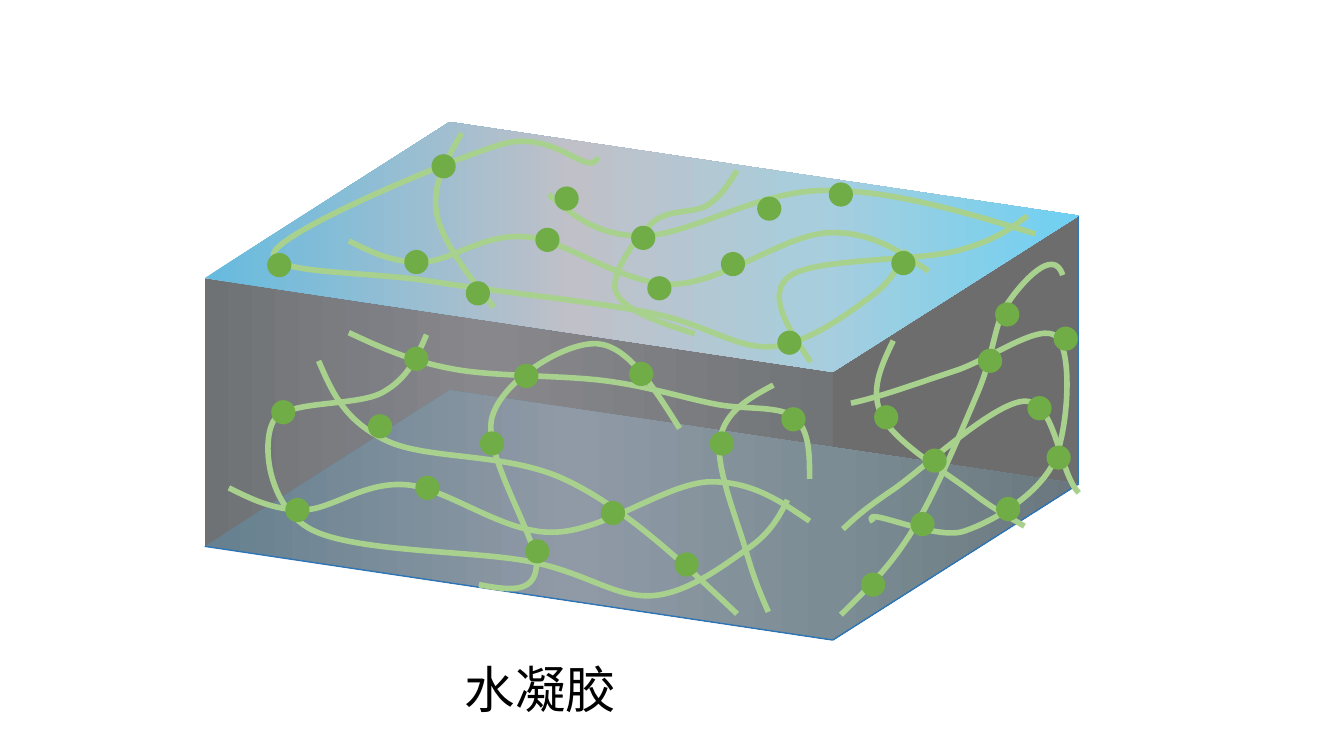
import pptx
import pptx.dml.color
import pptx.enum.shapes
import pptx.enum.text
import pptx.oxml.ns
import pptx.util
from lxml import etree

COLOURS = {
    "strand": "A9D18E", "node": "70AD47", "edge": "2E75B6", "text": "000000",
    "right wall": "6D6D6E",
}
TOP_GRADIENT = [(0, "66BBDF"), (42, "BFC0C8"), (70, "A8CEDD"), (100, "6FD0F2")]
FRONT_GRADIENT = [(0, "6F7275"), (45, "87878C"), (100, "727577")]
FLOOR_GRADIENT = [(0, "66808F"), (42, "909AA6"), (72, "7B8C94"), (100, "6A777E")]

# All places below are in inches: corners of the gel block, left, back, right, front.
TOP_FACE = [(2.03, 2.76), (4.46, 1.21), (10.7, 2.14), (8.26, 3.69)]
BLOCK_HEIGHT = 2.66
NODE_SIZE = 0.24

# Each strand is a start point followed by triples of Bezier points.
FRONT_STRANDS = [
    [(4.23, 3.32), (4.14, 3.53), (4.05, 3.75), (3.8, 3.89), (3.54, 4.04), (2.83, 3.96), (2.71, 4.18),
     (2.59, 4.41), (2.66, 5.02), (3.08, 5.25), (3.51, 5.48), (4.68, 5.46), (5.25, 5.57),
     (5.81, 5.68), (6.1, 5.93), (6.46, 5.91), (6.82, 5.89), (7.19, 5.6), (7.42, 5.44),
     (7.64, 5.29), (7.73, 5.12), (7.81, 4.96)],
    [(3.46, 3.3), (3.76, 3.44), (4.06, 3.58), (4.49, 3.66), (4.91, 3.74), (5.58, 3.72), (6.02, 3.78),
     (6.46, 3.84), (6.79, 3.95), (7.1, 4.01), (7.41, 4.07), (7.72, 4.02), (7.88, 4.14),
     (8.03, 4.27), (8.03, 4.51), (8.03, 4.75)],
    [(2.27, 4.84), (2.49, 4.95), (2.71, 5.06), (3.01, 5.06), (3.3, 5.05), (3.62, 4.77), (4.04, 4.81),
     (4.45, 4.85), (4.99, 5.29), (5.48, 5.28), (5.98, 5.28), (6.6, 4.8), (7.03, 4.78),
     (7.45, 4.77), (7.74, 4.97), (8.03, 5.17)],
    [(7.67, 3.82), (7.43, 3.95), (7.19, 4.08), (7.14, 4.36), (7.09, 4.63), (7.32, 5.18), (7.4, 5.47),
     (7.48, 5.75), (7.55, 5.91), (7.62, 6.07)],
    [(3.16, 3.58), (3.29, 3.88), (3.41, 4.17), (3.83, 4.37), (4.24, 4.57), (5.04, 4.48), (5.63, 4.77),
     (6.21, 5.05), (6.76, 5.57), (7.31, 6.09)],
    [(6.74, 4.25), (6.48, 3.84), (6.23, 3.43), (5.92, 3.41), (5.61, 3.39), (4.98, 3.77), (4.88, 4.14),
     (4.78, 4.51), (5.34, 5.35), (5.32, 5.62), (5.3, 5.9), (5.02, 5.85), (4.75, 5.8)],
]
TOP_STRANDS = [
    [(5.93, 1.56), (5.84, 1.78), (5.51, 1.28), (4.98, 1.43), (4.44, 1.59), (2.84, 2.27), (2.72, 2.5),
     (2.6, 2.72), (3.65, 2.69), (4.27, 2.79), (4.89, 2.89), (5.87, 2.99), (6.43, 3.1),
     (7, 3.21), (7.29, 3.46), (7.65, 3.44), (8.01, 3.41), (8.38, 3.13), (8.6, 2.97),
     (8.83, 2.81), (8.91, 2.65), (8.99, 2.48)],
    [(3.46, 2.39), (3.68, 2.5), (3.9, 2.61), (4.19, 2.6), (4.48, 2.59), (4.8, 2.31), (5.22, 2.35),
     (5.63, 2.39), (6.17, 2.82), (6.67, 2.82), (7.17, 2.81), (7.78, 2.33), (8.21, 2.31),
     (8.63, 2.29), (8.92, 2.49), (9.21, 2.69)],
    [(5.44, 1.93), (5.69, 2.14), (5.93, 2.35), (6.39, 2.34), (6.84, 2.33), (7.53, 1.89), (8.17, 1.89),
     (8.82, 1.88), (9.55, 2.1), (10.27, 2.32)],
    [(4.58, 1.32), (4.43, 1.58), (4.28, 1.83), (4.33, 2.12), (4.39, 2.4), (4.64, 2.73), (4.9, 3.05)],
    [(10.19, 2.14), (10.03, 2.26), (9.87, 2.39), (9.48, 2.49), (9.09, 2.59), (8.07, 2.56), (7.83, 2.74),
     (7.59, 2.92), (7.82, 3.26), (8.04, 3.59)],
    [(7.31, 1.69), (7.23, 1.82), (7.15, 1.95), (7.01, 2.04), (6.87, 2.12), (6.62, 2.07), (6.47, 2.21),
     (6.32, 2.35), (6.04, 2.71), (6.11, 2.9), (6.19, 3.08), (6.54, 3.2), (6.89, 3.31)],
]
RIGHT_STRANDS = [
    [(8.44, 4), (8.76, 3.93), (9.13, 3.79), (9.47, 3.68), (9.81, 3.57), (10.32, 3.19), (10.48, 3.34),
     (10.64, 3.49), (10.6, 4.26), (10.45, 4.59), (10.29, 4.91), (9.86, 5.17), (9.56, 5.27),
     (9.26, 5.37), (8.51, 4.99), (8.66, 5.18)],
    [(8.34, 6.1), (8.57, 5.87), (8.81, 5.65), (9.04, 5.28), (9.27, 4.91), (9.54, 4.27), (9.7, 3.89),
     (9.86, 3.51), (9.86, 3.2), (10, 3), (10.13, 2.81), (10.45, 2.44), (10.54, 2.73)],
    [(8.86, 3.38), (8.74, 3.63), (8.62, 3.88), (8.75, 4.13), (8.87, 4.38), (9.38, 4.69), (9.62, 4.87),
     (9.85, 5.05), (10.01, 5.13), (10.16, 5.22)],
    [(10.7, 4.89), (10.5, 4.69), (10.48, 3.99), (10.17, 3.98), (9.87, 3.98), (9.17, 4.64), (8.87, 4.85),
     (8.56, 5.06), (8.49, 5.13), (8.36, 5.25)],
]

# Left and top of each cross-link node.
FRONT_NODES = [
    (3.65, 4.11), (2.83, 4.94), (2.69, 3.97), (4.01, 3.44), (4.76, 4.28), (4.12, 4.72), (5.21, 5.35),
    (5.1, 3.61), (5.96, 4.97), (7.04, 4.28), (6.24, 3.59), (6.69, 5.48), (7.75, 4.04),
]
TOP_NODES = [
    (4.01, 2.48), (2.65, 2.51), (5.5, 1.85), (5.31, 2.26), (6.42, 2.74), (7.15, 2.5), (8.22, 1.81),
    (7.51, 1.95), (6.26, 2.24), (8.84, 2.49), (7.71, 3.28), (4.62, 2.79), (4.28, 1.53),
]
RIGHT_NODES = [
    (8.67, 4.02), (9.87, 3), (9.03, 5.08), (8.54, 5.68), (9.15, 4.45), (9.88, 4.93), (10.19, 3.93),
    (10.45, 3.24), (10.38, 4.42), (9.7, 3.46),
]


def colour(name):
    return pptx.dml.color.RGBColor.from_string(COLOURS[name])


def length(inches):
    return pptx.util.Cm(inches * 2.54)


def write_text(shape, text, size=18, font="Calibri", color="text"):
    run = shape.text_frame.paragraphs[0].add_run()
    run.text = text
    run.font.size = pptx.util.Pt(size)
    run.font.name = font
    run.font.color.rgb = colour(color)


class GelSlide:
    """Draws on one slide with a shared style; places are in inches."""

    strand_width = pptx.util.Pt(4)
    edge_width = pptx.util.Pt(1)

    def __init__(self, presentation):
        self.slide = presentation.slides.add_slide(presentation.slide_layouts[6])

    def outline(self, points, close):
        places = [(length(x), length(y)) for x, y in points]
        builder = self.slide.shapes.build_freeform(*places[0])
        builder.add_line_segments(places[1:], close=close)
        shape = builder.convert_to_shape()
        shape.shadow.inherit = False
        return shape

    def face(self, corners, fill=None, stops=()):
        shape = self.outline(corners, close=True)
        shape.line.fill.background()
        if fill:
            shape.fill.solid()
            shape.fill.fore_color.rgb = colour(fill)
            return
        shape.fill.gradient()
        shape.fill.gradient_angle = 0
        stop_list = next(shape.element.iter(pptx.oxml.ns.qn("a:gsLst")))
        for stop in list(stop_list):
            stop_list.remove(stop)
        for percent, value in stops:
            stop = etree.SubElement(stop_list, pptx.oxml.ns.qn("a:gs"), pos=str(percent * 1000))
            etree.SubElement(stop, pptx.oxml.ns.qn("a:srgbClr"), val=value)

    def edge(self, start, end):
        connector = self.slide.shapes.add_connector(
            pptx.enum.shapes.MSO_CONNECTOR.STRAIGHT, *map(length, start + end))
        connector.line.color.rgb = colour("edge")
        connector.line.width = self.edge_width
        etree.SubElement(connector.element.spPr, pptx.oxml.ns.qn("a:effectLst"))

    def strand(self, points):
        """Draw a curve: every three line segments become one Bezier segment."""
        shape = self.outline(points, close=False)
        shape.fill.background()
        shape.line.color.rgb = colour("strand")
        shape.line.width = self.strand_width
        outline = next(shape.element.iter(pptx.oxml.ns.qn("a:path")))
        segments = outline.findall(pptx.oxml.ns.qn("a:lnTo"))
        for index in range(0, len(segments), 3):
            curve = etree.SubElement(outline, pptx.oxml.ns.qn("a:cubicBezTo"))
            for segment in segments[index:index + 3]:
                curve.append(segment[0])
                outline.remove(segment)

    def node(self, left, top):
        shape = self.slide.shapes.add_shape(
            pptx.enum.shapes.MSO_SHAPE.OVAL, *map(length, (left, top, NODE_SIZE, NODE_SIZE)))
        shape.shadow.inherit = False
        shape.fill.solid()
        shape.fill.fore_color.rgb = colour("node")
        shape.line.fill.background()

    def label(self, text, left, top, width, height, **text_format):
        box = self.slide.shapes.add_textbox(*map(length, (left, top, width, height)))
        box.text_frame.word_wrap = True
        box.text_frame.auto_size = pptx.enum.text.MSO_AUTO_SIZE.SHAPE_TO_FIT_TEXT
        write_text(box, text, **text_format)


def main():
    presentation = pptx.Presentation()
    presentation.slide_width = length(13.33)
    presentation.slide_height = length(7.5)
    gel = GelSlide(presentation)

    floor = [(x, y + BLOCK_HEIGHT) for x, y in TOP_FACE]
    left, _, right, front = TOP_FACE
    floor_left, _, floor_right, floor_front = floor
    gel.face([left, front, floor_front, floor_left], stops=FRONT_GRADIENT)
    gel.face([front, right, floor_right, floor_front], fill="right wall")
    gel.face(floor, stops=FLOOR_GRADIENT)
    gel.face(TOP_FACE, stops=TOP_GRADIENT)
    for start, end in [(floor_left, floor_front), (floor_front, floor_right), (floor_right, right)]:
        gel.edge(start, end)

    for points in FRONT_STRANDS + TOP_STRANDS + RIGHT_STRANDS:
        gel.strand(points)
    for place in FRONT_NODES + TOP_NODES + RIGHT_NODES:
        gel.node(*place)
    gel.label("水凝胶", 4.51, 6.48, 5.23, 0.71, size=36)
    presentation.save("out.pptx")


if __name__ == "__main__":
    main()
